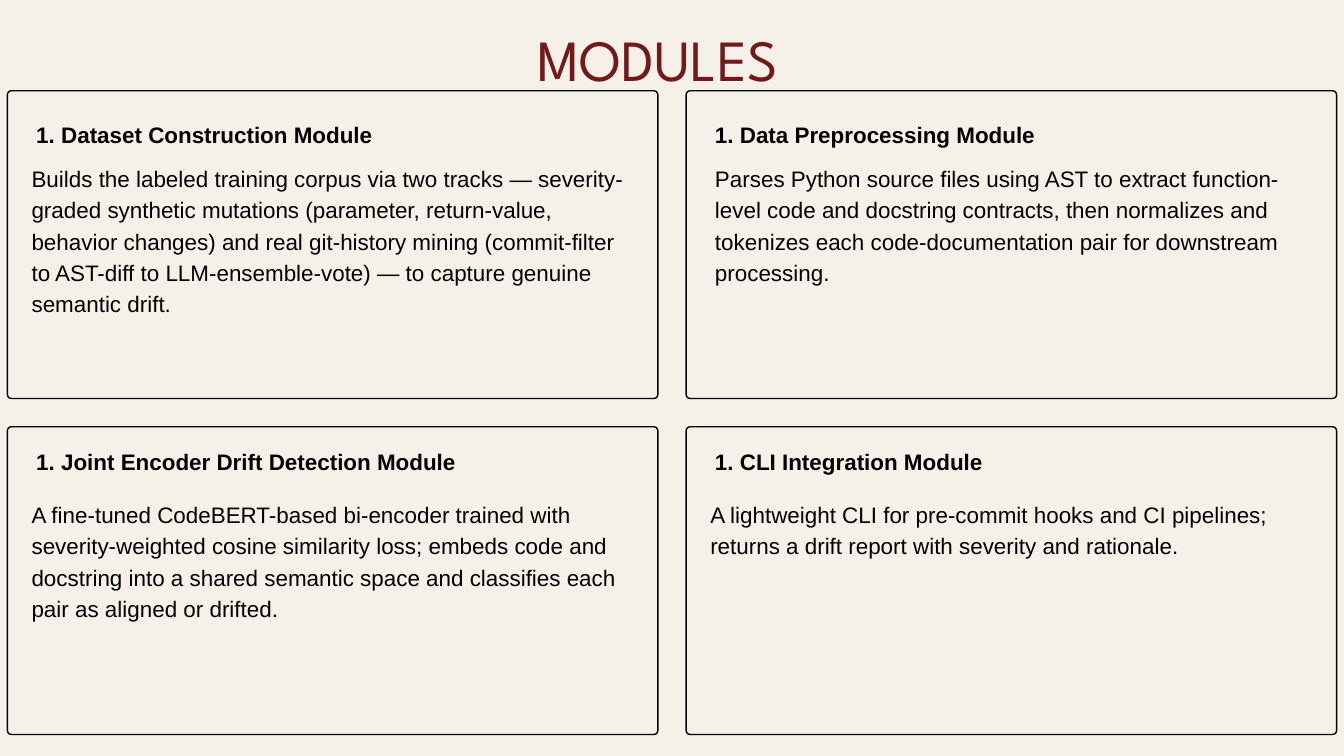
import pptx
import pptx.dml.color
import pptx.enum.shapes
import pptx.enum.text
import pptx.oxml.ns
import pptx.util
import lxml.etree

Inches = pptx.util.Inches
Pt = pptx.util.Pt
CREAM = pptx.dml.color.RGBColor(0xF5, 0xF1, 0xE8)
BLACK = pptx.dml.color.RGBColor(0, 0, 0)
MAROON = pptx.dml.color.RGBColor(0x73, 0x19, 0x19)

CARD_WIDTH, CARD_HEIGHT = 9.68, 4.58
CARD_LEFT, CARD_TOP = 0.11, 1.35
COLUMN_STEP, ROW_STEP = 10.1, 5
TEXT_WIDTH = 8.96
HEADING_INSET = 0.14
NUMBER_START, NUMBER_HANG = 0.29, 0.37

# (heading, body, heading offset, body inset, body height)
MODULES = [
    ("Dataset Construction Module",
     "Builds the labeled training corpus via two tracks — severity-graded synthetic mutations "
     "(parameter, return-value, behavior changes) and real git-history mining (commit-filter to "
     "AST-diff to LLM-ensemble-vote) — to capture genuine semantic drift.",
     0.39, 0.36, 2.29),
    ("Data Preprocessing Module",
     "Parses Python source files using AST to extract function-level code and docstring contracts, "
     "then normalizes and tokenizes each code-documentation pair for downstream processing.",
     0.39, 0.43, 1.83),
    ("Joint Encoder Drift Detection Module",
     "A fine-tuned CodeBERT-based bi-encoder trained with severity-weighted cosine similarity loss; "
     "embeds code and docstring into a shared semantic space and classifies each pair as aligned "
     "or drifted.",
     0.25, 0.36, 1.83),
    ("CLI Integration Module",
     "A lightweight CLI for pre-commit hooks and CI pipelines; returns a drift report with severity "
     "and rationale.",
     0.25, 0.36, 0.91),
]


def fill_text(box, text, font_name, size, color, line_spacing, bold=False):
    frame = box.text_frame
    frame.word_wrap = True
    frame.vertical_anchor = pptx.enum.text.MSO_ANCHOR.TOP
    frame.margin_left = frame.margin_right = frame.margin_top = frame.margin_bottom = 0
    para = frame.paragraphs[0]
    para.line_spacing = Pt(line_spacing)
    span = para.add_run()
    span.text = text
    span.font.name = font_name
    span.font.size = Pt(size)
    span.font.bold = bold
    span.font.color.rgb = color
    return para


def add_text(page, left, top, height, text, bold=False):
    box = page.shapes.add_textbox(Inches(left), Inches(top), Inches(TEXT_WIDTH), Inches(height))
    return fill_text(box, text, "Arial", 24, BLACK, 33.6, bold)


def number_paragraph(para):
    properties = para._p.get_or_add_pPr()
    properties.set("marL", str(Inches(NUMBER_START + NUMBER_HANG)))
    properties.set("indent", str(-Inches(NUMBER_HANG)))
    number = lxml.etree.SubElement(properties, pptx.oxml.ns.qn("a:buAutoNum"))
    number.set("type", "arabicPeriod")


def add_title(page, left, top, width, height):
    title = page.shapes.title
    title.left, title.top = Inches(left), Inches(top)
    title.width, title.height = Inches(width), Inches(height)
    para = fill_text(title, "MODULES", "League Spartan", 62.4, MAROON, 87.3)
    para.alignment = pptx.enum.text.PP_ALIGN.CENTER
    title.text_frame.auto_size = pptx.enum.text.MSO_AUTO_SIZE.NONE


def add_card(page, left, top, width, height, module):
    heading, body, heading_offset, body_inset, body_height = module
    card = page.shapes.add_shape(
        pptx.enum.shapes.MSO_SHAPE.ROUNDED_RECTANGLE,
        Inches(left), Inches(top), Inches(width), Inches(height))
    card.adjustments[0] = 0.06 / height
    card.shadow.inherit = False
    card.fill.solid()
    card.fill.fore_color.rgb = CREAM
    card.line.color.rgb = BLACK
    card.line.width = Pt(1.5)
    para = add_text(page, left + HEADING_INSET, top + heading_offset, 0.45, heading, bold=True)
    number_paragraph(para)
    add_text(page, left + body_inset, top + 1.04, body_height, body)


def main():
    deck = pptx.Presentation()
    deck.slide_width, deck.slide_height = Inches(20), Inches(11.25)
    page = deck.slides.add_slide(deck.slide_layouts.get_by_name("Title Only"))
    page.background.fill.solid()
    page.background.fill.fore_color.rgb = CREAM
    add_title(page, 4.21, 0.18, 11.16, 1.17)
    for index, module in enumerate(MODULES):
        row, column = divmod(index, 2)
        add_card(page, CARD_LEFT + column * COLUMN_STEP, CARD_TOP + row * ROW_STEP,
                 CARD_WIDTH, CARD_HEIGHT, module)
    deck.save("out.pptx")


if __name__ == "__main__":
    main()
